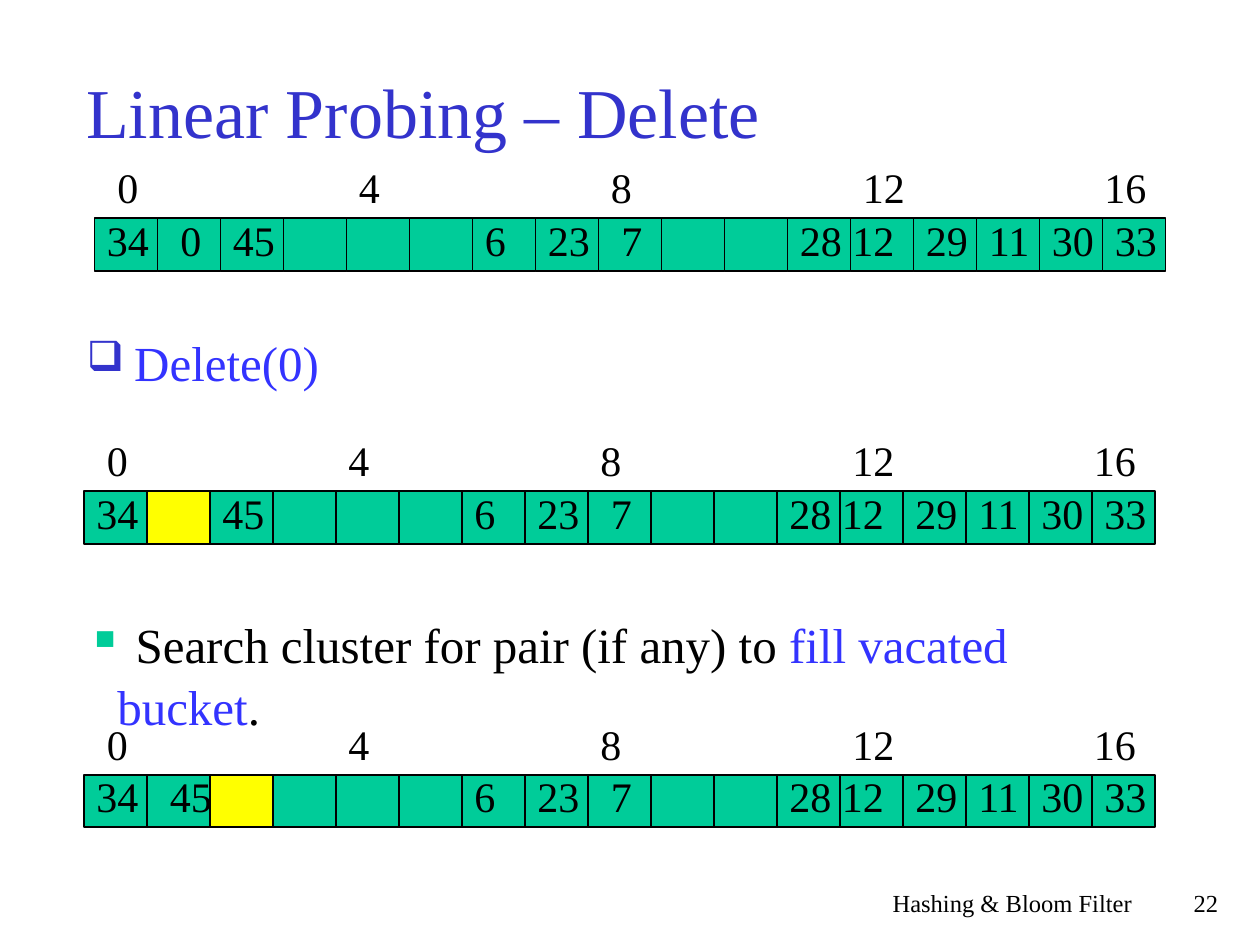
from pptx import Presentation
from pptx.dml.color import RGBColor
from pptx.enum.shapes import MSO_SHAPE as Shape
from pptx.enum.text import MSO_ANCHOR as Anchor, PP_ALIGN as Align
from pptx.oxml.ns import qn
from pptx.util import Inches, Pt
from lxml.etree import SubElement

COLORS = {"title": "3333CC", "accent": "3333FF", "text": "000000",
          "cell": "00CC99", "vacated": "FFFF00"}
FONT = "Times New Roman"
UNITS_PER_INCH = 12
CELL_WIDTH, CELL_HEIGHT = 6, 5
VALUE_RISE, LABEL_RISE = 1, 6

LABELS = {0: "0", 4: "4", 8: "8", 12: "12", 16: "16"}
LABEL_NUDGES = {0: 1, 16: -1}
VALUE_NUDGES = {1: 1, 8: 1, 12: -1}
CLUSTER = {6: "6", 7: "23", 8: "7", 11: "28", 12: "12",
           13: "29", 14: "11", 15: "30", 16: "33"}


def units(count):
    return Inches(count / UNITS_PER_INCH)


def write(para, text, size=24, color="text"):
    span = para.add_run()
    span.text = text
    span.font.name = FONT
    span.font.size = Pt(size)
    span.font.color.rgb = RGBColor.from_string(COLORS[color])


class HashSlide:
    """Places elements on a grid of twelve units to the inch."""

    def __init__(self, deck):
        self.page = deck.slides.add_slide(deck.slide_layouts[5])

    def title(self, text, left, top, width, height):
        box = self.page.shapes.title
        box.left, box.top = units(left), units(top)
        box.width, box.height = units(width), units(height)
        box.text_frame.vertical_anchor = Anchor.MIDDLE
        para = box.text_frame.paragraphs[0]
        para.alignment = Align.LEFT
        write(para, text, size=40, color="title")

    def text(self, text, left, top, width, height=6, align=Align.LEFT, **style):
        """Adds a text box and returns its paragraph."""
        box = self.page.shapes.add_textbox(
            units(left), units(top), units(width), units(height))
        box.text_frame.word_wrap = True
        para = box.text_frame.paragraphs[0]
        para.alignment = align
        write(para, text, **style)
        return para

    def bullet(self, para, mark, color, indent, percent=100):
        para.line_spacing = 1.05
        props = para._p.get_or_add_pPr()
        props.set("marL", str(units(indent)))
        props.set("indent", str(-units(indent)))
        tint = SubElement(props, qn("a:buClr"))
        SubElement(tint, qn("a:srgbClr"), val=COLORS[color])
        SubElement(props, qn("a:buSzPct"), val=str(percent * 1000))
        SubElement(props, qn("a:buChar"), char=mark)

    def cell(self, left, top, color):
        box = self.page.shapes.add_shape(
            Shape.RECTANGLE, units(left), units(top),
            units(CELL_WIDTH), units(CELL_HEIGHT))
        box.shadow.inherit = False
        box.fill.solid()
        box.fill.fore_color.rgb = RGBColor.from_string(COLORS[color])
        box.line.color.rgb = RGBColor.from_string(COLORS["text"])
        box.line.width = Pt(1)

    def numbers(self, numbers, nudges, left, top):
        for index, number in numbers.items():
            self.text(number, left + index * CELL_WIDTH + nudges.get(index, 0),
                      top, width=3 + 2 * len(number))

    def hash_table(self, values, left, top, vacated=None):
        """Draws the buckets with their values and the index labels above."""
        for index in range(17):
            self.cell(left + index * CELL_WIDTH, top,
                      "vacated" if index == vacated else "cell")
        self.numbers(LABELS, LABEL_NUDGES, left, top - LABEL_RISE)
        self.numbers(values, VALUE_NUDGES, left, top - VALUE_RISE)


def main():
    deck = Presentation()
    deck.slide_width, deck.slide_height = Inches(10), Inches(7.5)
    slide = HashSlide(deck)
    slide.title("Linear Probing – Delete", 7, 3, 102, 15)

    slide.hash_table({0: "34", 1: "0", 2: "45"} | CLUSTER, 9, 20.8)
    operation = slide.text("Delete(0)", 7.1, 30.8, 100.4, 10,
                           size=28, color="accent")
    slide.bullet(operation, "❑", "title", indent=4.5, percent=85)

    slide.hash_table({0: "34", 2: "45"} | CLUSTER, 8, 46.8, vacated=1)
    step = slide.text(" Search cluster for pair (if any) to ",
                      7.1, 57.7, 103.5, 12.4, size=28)
    write(step, "fill vacated bucket", size=28, color="accent")
    write(step, ".", size=28)
    slide.bullet(step, "▪", "cell", indent=2.9)

    slide.hash_table({0: "34", 1: "45"} | CLUSTER, 8, 73.8, vacated=2)

    slide.text("Hashing & Bloom Filter", 71, 84, 38, align=Align.RIGHT, size=14)
    slide.text("22", 109, 84, 8.2, align=Align.RIGHT, size=14)
    deck.save("out.pptx")


if __name__ == "__main__":
    main()
